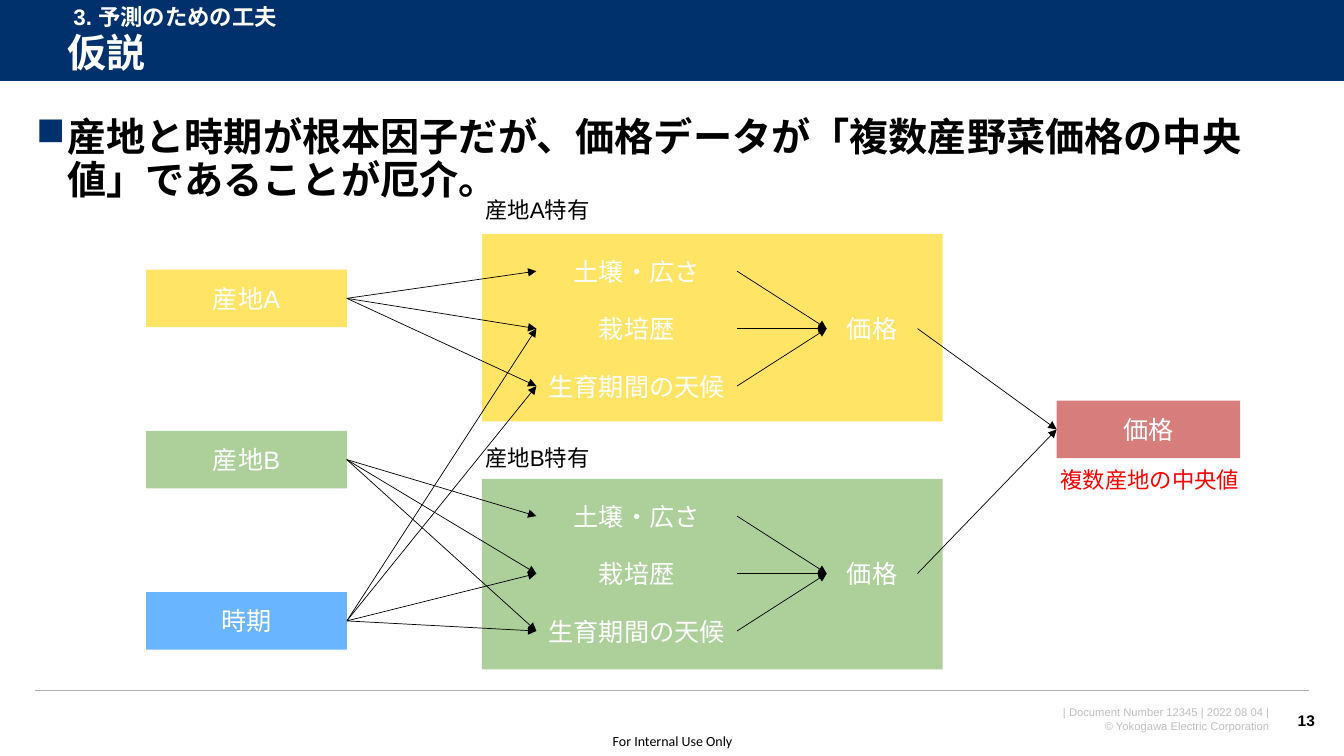
from lxml.etree import SubElement
from pptx import Presentation
from pptx.dml.color import RGBColor
from pptx.enum.shapes import MSO_CONNECTOR as Connector, MSO_SHAPE as Shape
from pptx.enum.text import MSO_ANCHOR as Anchor, PP_ALIGN as Align
from pptx.oxml.ns import qn
from pptx.util import Inches, Pt

COLORS = {
    "navy": "00316C", "white": "FFFFFF", "black": "000000", "red": "FF0000",
    "yellow": "FFE465", "green": "ADD09B", "blue": "2A97FF", "brick": "C74643",
    "rule": "B2B2B2", "footer": "BFBFBF",
}
BOX_HEIGHT = 0.57
FACTOR_WIDTH = 1.99
SOURCE_LEFT = 1.45
FACTOR_LEFT = 5.32
FACTOR_STEP = 0.57
PRICE_LEFT = 8.2
PRICE_WIDTH = 0.9
MEDIAN_LEFT = 10.48
MEDIAN_MIDDLE = 4.26
SEASON_MIDDLE = 6.16
FACTORS = ["土壌・広さ", "栽培歴", "生育期間の天候"]
REGIONS = [
    {"name": "産地A", "color": "yellow", "middle": 2.96, "panel": (2.32, 1.86),
     "label_top": 1.9, "center": 3.26},
    {"name": "産地B", "color": "green", "middle": 4.56, "panel": (4.75, 1.89),
     "label_top": 4.36, "center": 5.69},
]


def color(name):
    return RGBColor.from_string(COLORS[name])


def write(frame, text, size=18, ink="white", bold=False, font="Arial",
          align=Align.CENTER, anchor=Anchor.MIDDLE, wrap=True,
          spacing=None, bullet=None, margin=None):
    frame.word_wrap = wrap
    frame.vertical_anchor = anchor
    if margin is not None:
        frame.margin_left = frame.margin_right = Inches(margin)
        frame.margin_top = frame.margin_bottom = Inches(margin)
    for index, line in enumerate(text.split("\n")):
        paragraph = frame.add_paragraph() if index else frame.paragraphs[0]
        paragraph.alignment = align
        if spacing:
            paragraph.line_spacing = spacing
        if bullet:
            properties = paragraph._p.get_or_add_pPr()
            properties.set("marL", str(Inches(0.31)))
            properties.set("indent", str(-Inches(0.31)))
            bullet_color = SubElement(properties, qn("a:buClr"))
            SubElement(bullet_color, qn("a:srgbClr"), val=COLORS["navy"])
            SubElement(properties, qn("a:buChar"), char=bullet)
        run = paragraph.add_run()
        run.text = line
        run.font.name = font
        run.font.size = Pt(size)
        run.font.bold = bold
        run.font.color.rgb = color(ink)


class Canvas:
    def __init__(self, slide):
        self.slide = slide

    def text(self, left, top, width, height, text, **style):
        box = self.slide.shapes.add_textbox(
            Inches(left), Inches(top), Inches(width), Inches(height))
        write(box.text_frame, text, **style)

    def box(self, left, top, width, height, fill, text=None, opacity=None):
        shape = self.slide.shapes.add_shape(
            Shape.RECTANGLE, Inches(left), Inches(top), Inches(width), Inches(height))
        shape.shadow.inherit = False
        shape.line.fill.background()
        shape.fill.solid()
        shape.fill.fore_color.rgb = color(fill)
        if opacity:
            fill_color = shape._element.spPr.find(qn("a:solidFill"))[0]
            SubElement(fill_color, qn("a:alpha"), val=str(opacity * 1000))
        if text:
            write(shape.text_frame, text)

    def line(self, start, end, ink="black", width=0.5, arrow=False):
        connector = self.slide.shapes.add_connector(
            Connector.STRAIGHT, *(Inches(value) for value in (*start, *end)))
        connector.line.color.rgb = color(ink)
        connector.line.width = Pt(width)
        if arrow:
            SubElement(connector.line._get_or_add_ln(), qn("a:tailEnd"), type="triangle")
        SubElement(connector._element.spPr, qn("a:effectLst"))

    def arrow(self, start, end):
        self.line(start, end, arrow=True)


def draw_frame(canvas):
    canvas.text(9.48, 6.95, 3.21, 0.37,
                "| Document Number 12345 | 2022 08 04 |\n© Yokogawa Electric Corporation",
                size=8, ink="footer", align=Align.RIGHT, anchor=Anchor.TOP)
    canvas.text(5.91, 7.21, 1.52, 0.29, "For Internal Use Only",
                size=10, ink="black", font="Calibri", margin=0)
    canvas.box(0, 0, 13.33, 0.81, "navy")
    canvas.line((0, 0.81), (13.33, 0.81), "white", 0.75)
    canvas.line((0.35, 6.85), (12.98, 6.85), "rule", 1)
    canvas.text(0.57, 0.26, 12.47, 0.57, "仮説", size=28, bold=True,
                align=Align.LEFT, spacing=0.9)
    canvas.text(12.7, 6.95, 0.44, 0.4, "13", size=11, ink="black", bold=True,
                align=Align.RIGHT, wrap=False)
    canvas.text(0.26, 1.12, 12.78, 0.57,
                "産地と時期が根本因子だが、価格データが「複数産野菜価格の中央値」であることが厄介。",
                size=28, ink="black", bold=True, align=Align.LEFT,
                anchor=Anchor.TOP, spacing=0.9, bullet="■")
    canvas.text(0.63, -0.02, 3.1, 0.37, "3. 予測のための工夫", size=16, bold=True,
                align=Align.LEFT, anchor=Anchor.TOP)


def draw_region(canvas, region):
    center = region["center"]
    source_right = SOURCE_LEFT + FACTOR_WIDTH
    price_start = (PRICE_LEFT, center)
    panel_top, panel_height = region["panel"]
    canvas.box(4.78, panel_top, 4.57, panel_height, region["color"])
    canvas.box(SOURCE_LEFT, region["middle"] - BOX_HEIGHT / 2, FACTOR_WIDTH,
               BOX_HEIGHT, region["color"], region["name"])
    canvas.text(PRICE_LEFT, center - BOX_HEIGHT / 2, PRICE_WIDTH, BOX_HEIGHT, "価格")
    for index, factor in enumerate(FACTORS):
        middle = center + (index - 1) * FACTOR_STEP
        factor_start = (FACTOR_LEFT, middle)
        canvas.text(FACTOR_LEFT, middle - BOX_HEIGHT / 2, FACTOR_WIDTH, BOX_HEIGHT, factor)
        canvas.arrow((source_right, region["middle"]), factor_start)
        canvas.arrow((FACTOR_LEFT + FACTOR_WIDTH, middle), price_start)
        if index:
            canvas.arrow((source_right, SEASON_MIDDLE), factor_start)
    canvas.arrow((PRICE_LEFT + PRICE_WIDTH, center), (MEDIAN_LEFT, MEDIAN_MIDDLE))
    canvas.text(4.66, region["label_top"], 1.34, 0.37, region["name"] + "特有",
                size=16, ink="black", anchor=Anchor.TOP, wrap=False)


def main():
    presentation = Presentation()
    presentation.slide_width = Inches(13.33)
    presentation.slide_height = Inches(7.5)
    canvas = Canvas(presentation.slides.add_slide(presentation.slide_layouts[6]))
    draw_frame(canvas)
    for region in reversed(REGIONS):
        draw_region(canvas, region)
    canvas.box(SOURCE_LEFT, SEASON_MIDDLE - BOX_HEIGHT / 2, FACTOR_WIDTH,
               BOX_HEIGHT, "blue", "時期", opacity=70)
    canvas.box(MEDIAN_LEFT, MEDIAN_MIDDLE - BOX_HEIGHT / 2, 1.82, BOX_HEIGHT,
               "brick", "価格", opacity=70)
    canvas.text(10.33, 4.58, 2.15, 0.37, "複数産地の中央値", size=16, ink="red",
                anchor=Anchor.TOP)
    presentation.save("out.pptx")


if __name__ == "__main__":
    main()
